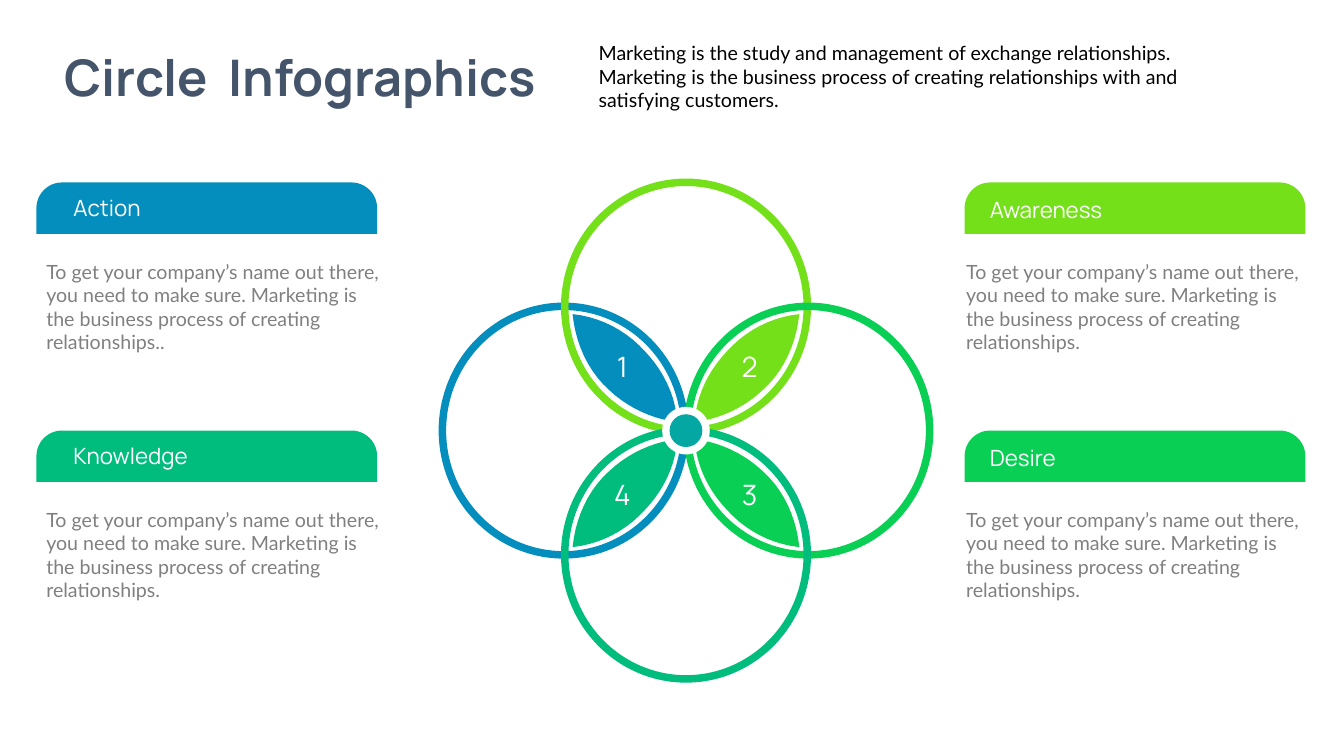
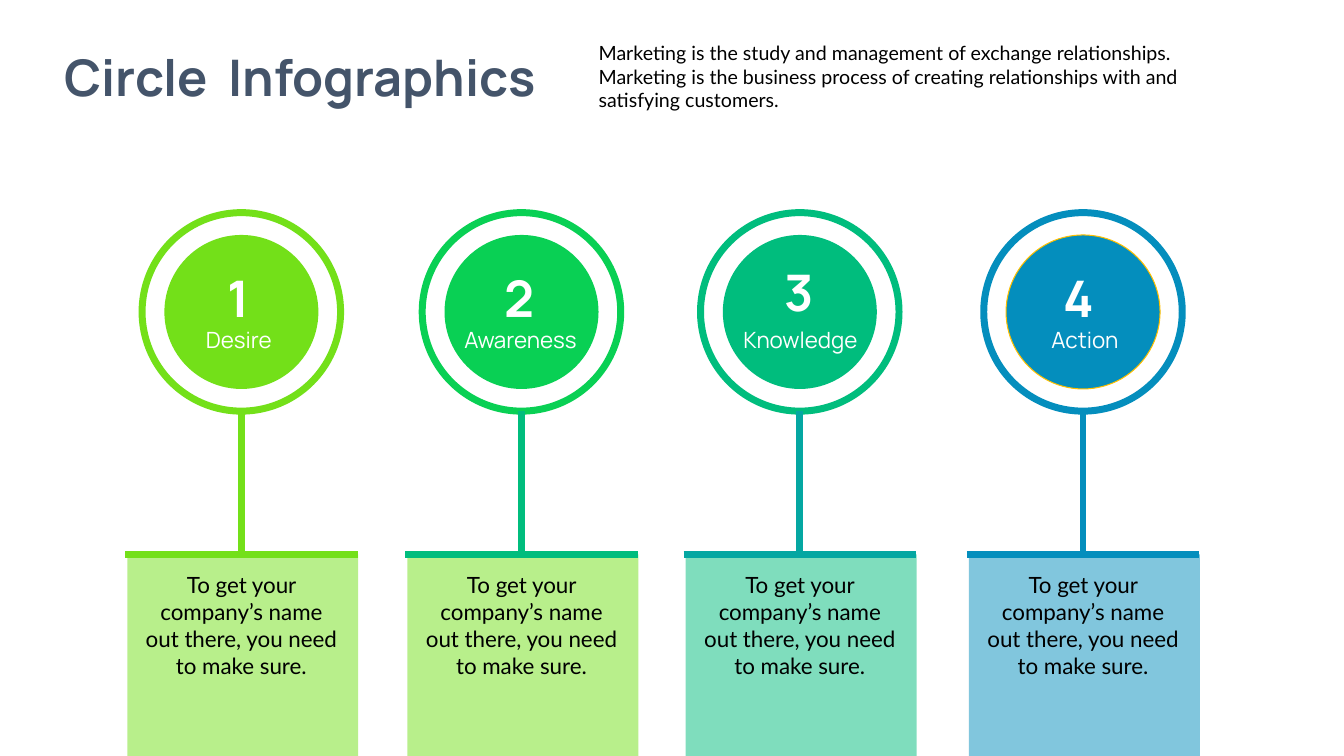
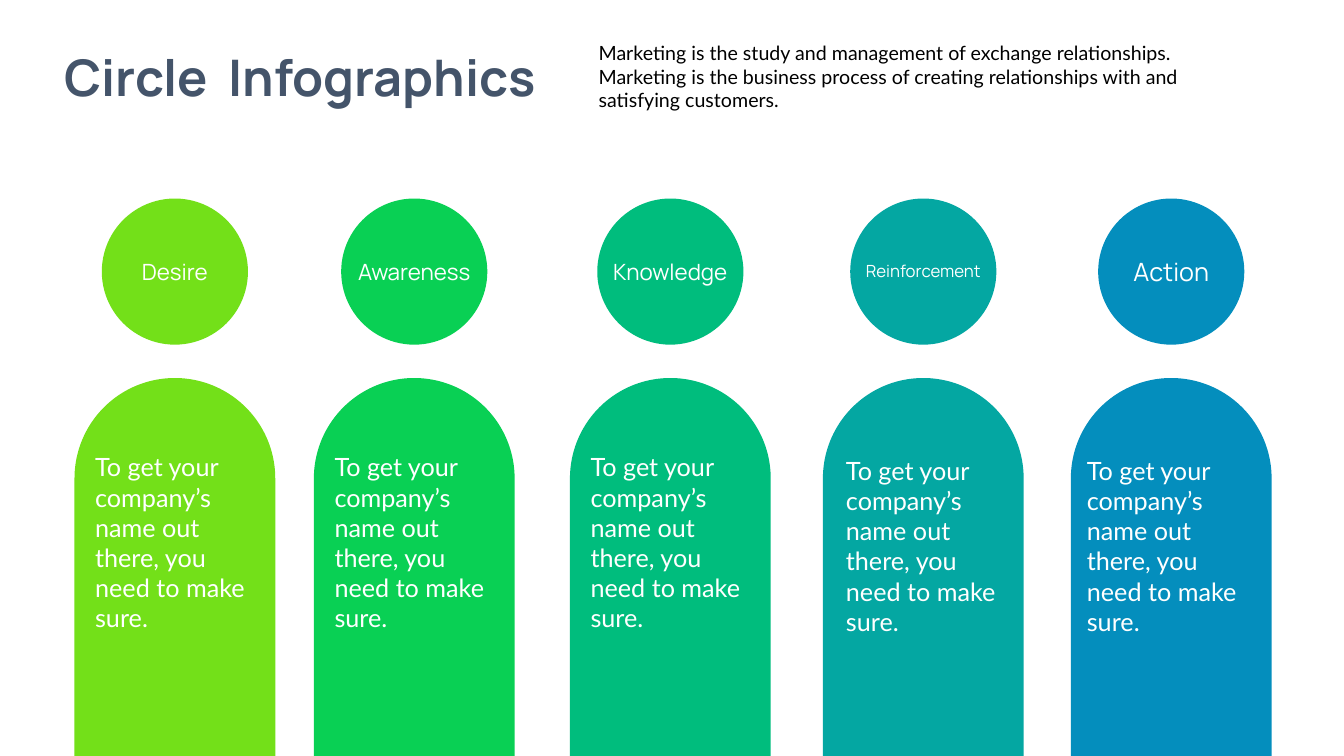
from lxml import etree
from pptx import Presentation
from pptx.dml.color import RGBColor
from pptx.enum.shapes import MSO_CONNECTOR, MSO_SHAPE
from pptx.enum.text import MSO_ANCHOR, MSO_AUTO_SIZE, PP_ALIGN
from pptx.oxml.ns import qn
from pptx.util import Pt

RECT, OVAL, DONUT = MSO_SHAPE.RECTANGLE, MSO_SHAPE.OVAL, MSO_SHAPE.DONUT
TAB = MSO_SHAPE.ROUND_2_SAME_RECTANGLE
LINE = MSO_CONNECTOR.STRAIGHT
LEFT, CENTER = PP_ALIGN.LEFT, PP_ALIGN.CENTER
TOP, MIDDLE = MSO_ANCHOR.TOP, MSO_ANCHOR.MIDDLE
GROW = MSO_AUTO_SIZE.SHAPE_TO_FIT_TEXT

COLORS = {
    "lime": "73E019", "green": "09D054", "jade": "00BD7D", "teal": "04A7A2",
    "blue": "048EBD", "amber": "FFC000", "slate": "44546A", "gray": "808080",
    "white": "FFFFFF", "black": "000000",
}
HEAD, BODY = "Manrope", "Lato"

TITLE = "Circle  Infographics"
INTRO = ("Marketing is the study and management of exchange relationships. "
         "Marketing is the business process of creating relationships with "
         "and satisfying customers.")
SHORT = "To get your company’s name out there, you need to make sure."
LONG = SHORT + " Marketing is the business process of creating relationships."

# One petal around the flower centre: start point, then cubic curves
PETAL_START = (-81, -83.2)
PETAL_CURVES = [
    ((-60.8, -81), (-42.8, -71.6), (-29.2, -56.5)),
    ((-16.2, -42.8), (-7.6, -25.6), (-6.1, -6.1)),
    ((-24.1, -8.3), (-41.4, -16.2), (-55.1, -29.2)),
    ((-70.2, -42.8), (-78.8, -62.3), PETAL_START),
]


def petal_points(steps=10):
    """Sample the petal outline, without its start point."""
    points, p0 = [], PETAL_START
    for p1, p2, p3 in PETAL_CURVES:
        for i in range(1, steps + 1):
            t = i / steps
            u = 1 - t
            points.append(tuple(
                u**3 * a + 3 * u * u * t * b + 3 * u * t * t * c + t**3 * d
                for a, b, c, d in zip(p0, p1, p2, p3)))
        p0 = p3
    return points


def rgb(name):
    return RGBColor.from_string(COLORS[name])


class Deck:
    """Shared style and the current slide; lengths are in points."""

    def __init__(self):
        self.prs = Presentation()
        self.prs.slide_width, self.prs.slide_height = Pt(960), Pt(540)
        self.s = None

    def slide(self):
        self.s = self.prs.slides.add_slide(self.prs.slide_layouts[6])
        self.text(TITLE, 26, 29.5, 377, 51, 36, "slate", HEAD, CENTER,
                  bold=True, wrap=False)
        self.text(INTRO, 420.5, 26, 432, 58, 14, "black")

    def text(self, text, x, y, w, h, size, color, font=BODY, align=LEFT,
             bold=False, wrap=True, anchor=TOP, inset=None):
        sp = self.s.shapes.add_textbox(Pt(x), Pt(y), Pt(w), Pt(h))
        tf = sp.text_frame
        tf.word_wrap, tf.auto_size, tf.vertical_anchor = wrap, GROW, anchor
        if inset is not None:
            tf.margin_left = tf.margin_right = Pt(inset)
            tf.margin_top = tf.margin_bottom = Pt(inset)
        p = tf.paragraphs[0]
        p.alignment = align
        r = p.add_run()
        r.text = text
        r.font.name, r.font.size, r.font.bold = font, Pt(size), bold
        r.font.color.rgb = rgb(color)

    def paint(self, sp, fill=None, line=None, width=1, alpha=None):
        sp.shadow.inherit = False
        if fill:
            sp.fill.solid()
            sp.fill.fore_color.rgb = rgb(fill)
        else:
            sp.fill.background()
        if line:
            sp.line.color.rgb = rgb(line)
            sp.line.width = Pt(width)
        else:
            sp.line.fill.background()
        if alpha:
            clr = sp.fill._xPr.find(qn("a:solidFill"))[0]
            etree.SubElement(clr, qn("a:alpha")).set("val", str(alpha * 1000))

    def shape(self, kind, x, y, w, h, fill=None, adj=(), **style):
        sp = self.s.shapes.add_shape(kind, Pt(x), Pt(y), Pt(w), Pt(h))
        for i, value in enumerate(adj):
            sp.adjustments[i] = value
        self.paint(sp, fill, **style)

    def circle(self, cx, cy, d, fill=None, **style):
        self.shape(OVAL, cx - d / 2, cy - d / 2, d, d, fill, **style)

    def petal(self, cx, cy, sx, sy, fill):
        def place(point):
            return Pt(cx - sx * point[0]), Pt(cy - sy * point[1])

        fb = self.s.shapes.build_freeform(*place(PETAL_START))
        fb.add_line_segments([place(pt) for pt in petal_points()])
        self.paint(fb.convert_to_shape(), fill)

    def line(self, x1, y1, x2, y2, color, width=5):
        cn = self.s.shapes.add_connector(LINE, Pt(x1), Pt(y1), Pt(x2), Pt(y2))
        cn.line.color.rgb = rgb(color)
        cn.line.width = Pt(width)
        etree.SubElement(cn._element.spPr, qn("a:effectLst"))


def flower_slide(deck):
    deck.slide()
    cx, cy = 490, 307.6
    ring_w, ring_h = 178.6, 182.9
    # label, color, ring direction, petal and panel direction, text
    parts = [
        ("Action", "blue", (-1, 0), (-1, -1), LONG + "."),
        ("Awareness", "lime", (0, -1), (1, -1), LONG),
        ("Desire", "green", (1, 0), (1, 1), LONG),
        ("Knowledge", "jade", (0, 1), (-1, 1), LONG),
    ]
    # Rings and petals
    for label, color, (rx, ry), (sx, sy), body in parts:
        deck.shape(DONUT, cx + rx * 87.4 - ring_w / 2,
                   cy + ry * 88.6 - ring_h / 2, ring_w, ring_h, color,
                   adj=[0.03])
        deck.petal(cx, cy, sx, sy, color)
    # Hub
    deck.circle(cx, cy, 34, "white")
    deck.circle(cx, cy, 23.4, "teal")
    # Numbers and side panels
    for n, (label, color, ring, (sx, sy), body) in enumerate(parts, 1):
        deck.text(str(n), cx + sx * 45.4 - 13.7, cy + sy * 45.7 - 15.8,
                  27.4, 31.7, 20, "white", HEAD, CENTER)
        bar_x, label_x, label_dy, body_x = (
            (26, 45.4, 5, 26) if sx < 0 else (689, 700, 6.1, 683))
        y = 130.3 if sy < 0 else 307.5
        deck.shape(TAB, bar_x, y, 243.4, 36.7, color, adj=[0.5, 0])
        deck.text(label, label_x, y + label_dy, 132, 26.6, 16, "white", HEAD)
        deck.text(body, body_x, y + 51.5, 254.2, 75, 14, "gray")


def pins_slide(deck):
    deck.slide()
    bar_y = 396
    # label, centre, disc, stem, card, disc outline, label dx, number dx and y
    pins = [
        ("Desire", 172.4, "lime", "lime", "lime", None, -1.8, -2.2, 186.5),
        ("Awareness", 372.5, "green", "jade", "lime", None, -0.7, -1.4, 186.5),
        ("Knowledge", 571.3, "jade", "teal", "jade", None, 0.4, -0.4, 182.2),
        ("Action", 773.6, "blue", "blue", "blue", "amber", 1.4, -2.9, 186.5),
    ]
    for n, (label, cx, disc, stem, card, edge, ldx, ndx, ny) in enumerate(
            pins, 1):
        # Card
        deck.shape(RECT, cx - 81.5, bar_y, 165, 144, card, alpha=50)
        # Disc with ring, stem and bar
        deck.circle(cx, 222.8, 110, disc, line=edge, width=0.75)
        deck.circle(cx, 222.8, 141.8, line=disc, width=5)
        deck.line(cx, bar_y, cx, 293.8, stem)
        deck.line(cx - 83, bar_y, cx + 83, bar_y, stem)
        # Texts
        deck.text(label, cx + ldx - 65, 229.7, 130, 26.6, 16, "white", HEAD,
                  CENTER)
        deck.text(str(n), cx + ndx - 40.7, ny, 81.4, 51.8, 36, "white", HEAD,
                  CENTER, bold=True, anchor=MIDDLE, inset=4.3)
        deck.text(SHORT, cx - 78.8, 404.6, 157.7, 85, 16, "black",
                  align=CENTER)


def pillars_slide(deck):
    deck.slide()
    # label, color, centre, label size and top, text width and top
    pillars = [
        ("Desire", "lime", 124.9, 16, 180.7, 128, 319),
        ("Awareness", "green", 295.9, 16, 180.7, 128, 319),
        ("Knowledge", "jade", 478.8, 16, 180.7, 128, 319),
        ("Reinforcement", "teal", 659.5, 12, 182.9, 124.6, 321.4),
        ("Action", "blue", 836.6, 18, 179.3, 134.6, 321.4),
    ]
    for label, color, cx, size, label_y, body_w, body_y in pillars:
        deck.circle(cx, 194, 104.4, color)
        deck.shape(TAB, cx - 71.7, 270, 143.4, 270, color, adj=[0.5, 0])
        deck.text(label, cx - 65.5, label_y, 131, 26.6, size, "white", HEAD,
                  CENTER)
        deck.text(SHORT, cx - body_w / 2, body_y, body_w, 138.2, 18, "white")


def main():
    deck = Deck()
    flower_slide(deck)
    pins_slide(deck)
    pillars_slide(deck)
    deck.prs.save("out.pptx")


if __name__ == "__main__":
    main()
